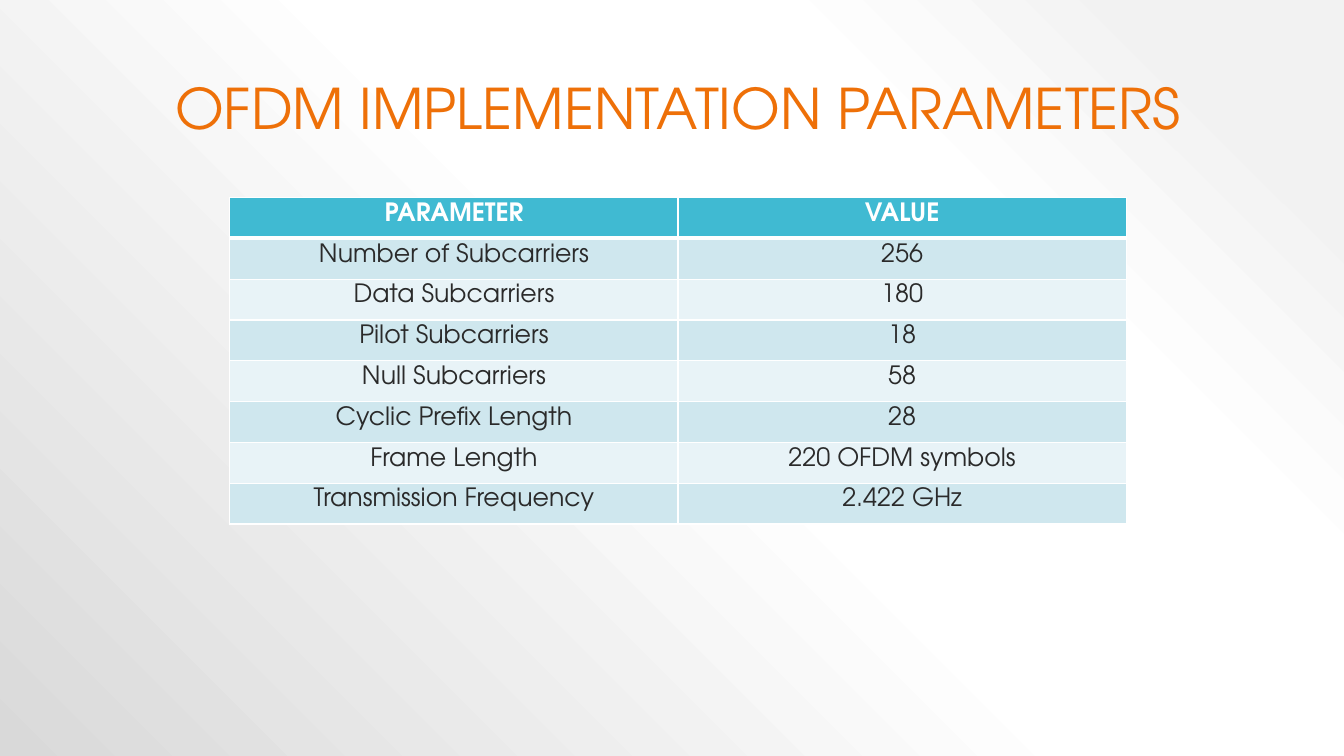
from pptx import Presentation
from pptx.dml.color import RGBColor
from pptx.enum.text import MSO_ANCHOR, PP_ALIGN
from pptx.oxml import parse_xml
from pptx.oxml.ns import nsdecls, qn
from pptx.util import Inches, Pt

CENTER = PP_ALIGN.CENTER
MIDDLE = MSO_ANCHOR.MIDDLE
TOP = MSO_ANCHOR.TOP

THEME = {
    "font": "TeX Gyre Adventor",
    "title_size": 40, "table_size": 18,
    "title": "EE7008", "header_text": "FFFFFF", "body_text": "2A2A2A",
    "header_fill": "40BAD2", "bands": ["CFE7EE", "E8F3F7"], "border": "FFFFFF",
    "background": [(0, "F2F2F2"), (10, "F2F2F2"), (28, "FFFFFF"),
                   (48, "FFFFFF"), (100, "D9D9D9")],
}
PARAMETERS = [
    ("PARAMETER", "VALUE"),
    ("Number of Subcarriers", "256"),
    ("Data Subcarriers", "180"),
    ("Pilot Subcarriers", "18"),
    ("Null Subcarriers", "58"),
    ("Cyclic Prefix Length", "28"),
    ("Frame Length", "220 OFDM symbols"),
    ("Transmission Frequency", "2.422 GHz"),
]


def write(frame, text, size, color, bold=False):
    paragraph = frame.paragraphs[0]
    paragraph.alignment = CENTER
    run = paragraph.add_run()
    run.text = text
    formats = {"name": THEME["font"], "size": Pt(size), "bold": bold}
    for key, value in formats.items():
        setattr(run.font, key, value)
    run.font.color.rgb = RGBColor.from_string(color)
    return paragraph


deck = Presentation()
deck.slide_width, deck.slide_height = Inches(13.33), Inches(7.5)
slide = deck.slides.add_slide(deck.slide_layouts[6])

# Background: round gradient spreading from the top right corner
slide.background.fill.solid()
background = slide.element.find(".//" + qn("p:bgPr"))
stops = "".join(f'<a:gs pos="{share * 1000}"><a:srgbClr val="{color}"/></a:gs>'
                for share, color in THEME["background"])
background.replace(background[0], parse_xml(
    f'<a:gradFill {nsdecls("a")} rotWithShape="1"><a:gsLst>{stops}</a:gsLst>'
    '<a:path path="circle"><a:fillToRect l="100000" b="100000"/></a:path></a:gradFill>'))

# Title
title = slide.shapes.add_textbox(Inches(0.75), Inches(0.74), Inches(11.95), Inches(0.72))
title.text_frame.word_wrap = True
title.text_frame.vertical_anchor = MIDDLE
heading = write(title.text_frame, "OFDM IMPLEMENTATION PARAMETERS",
                THEME["title_size"], THEME["title"])
heading.line_spacing = 0.9

# Parameter table: equal columns and rows
table = slide.shapes.add_table(len(PARAMETERS), 2, Inches(2.28), Inches(1.96),
                               Inches(8.89), Inches(3.24)).table
cell_format = {"margin_top": Inches(0.05), "margin_bottom": Inches(0.05),
               "vertical_anchor": TOP}
for row, entries in enumerate(PARAMETERS):
    header = row == 0
    fill = THEME["header_fill"] if header else THEME["bands"][(row - 1) % 2]
    ink = THEME["header_text"] if header else THEME["body_text"]
    # The rule under the header is thicker than the others
    widths = {"lnL": 1, "lnR": 1, "lnT": 3 if row == 1 else 1, "lnB": 3 if header else 1}
    for column, entry in enumerate(entries):
        cell = table.cell(row, column)
        for key, value in cell_format.items():
            setattr(cell, key, value)
        properties = cell._tc.get_or_add_tcPr()
        for side, width in widths.items():
            properties.append(parse_xml(
                f'<a:{side} {nsdecls("a")} w="{Pt(width)}"><a:solidFill>'
                f'<a:srgbClr val="{THEME["border"]}"/></a:solidFill></a:{side}>'))
        cell.fill.solid()
        cell.fill.fore_color.rgb = RGBColor.from_string(fill)
        write(cell.text_frame, entry, THEME["table_size"], ink, header)

deck.save("out.pptx")
